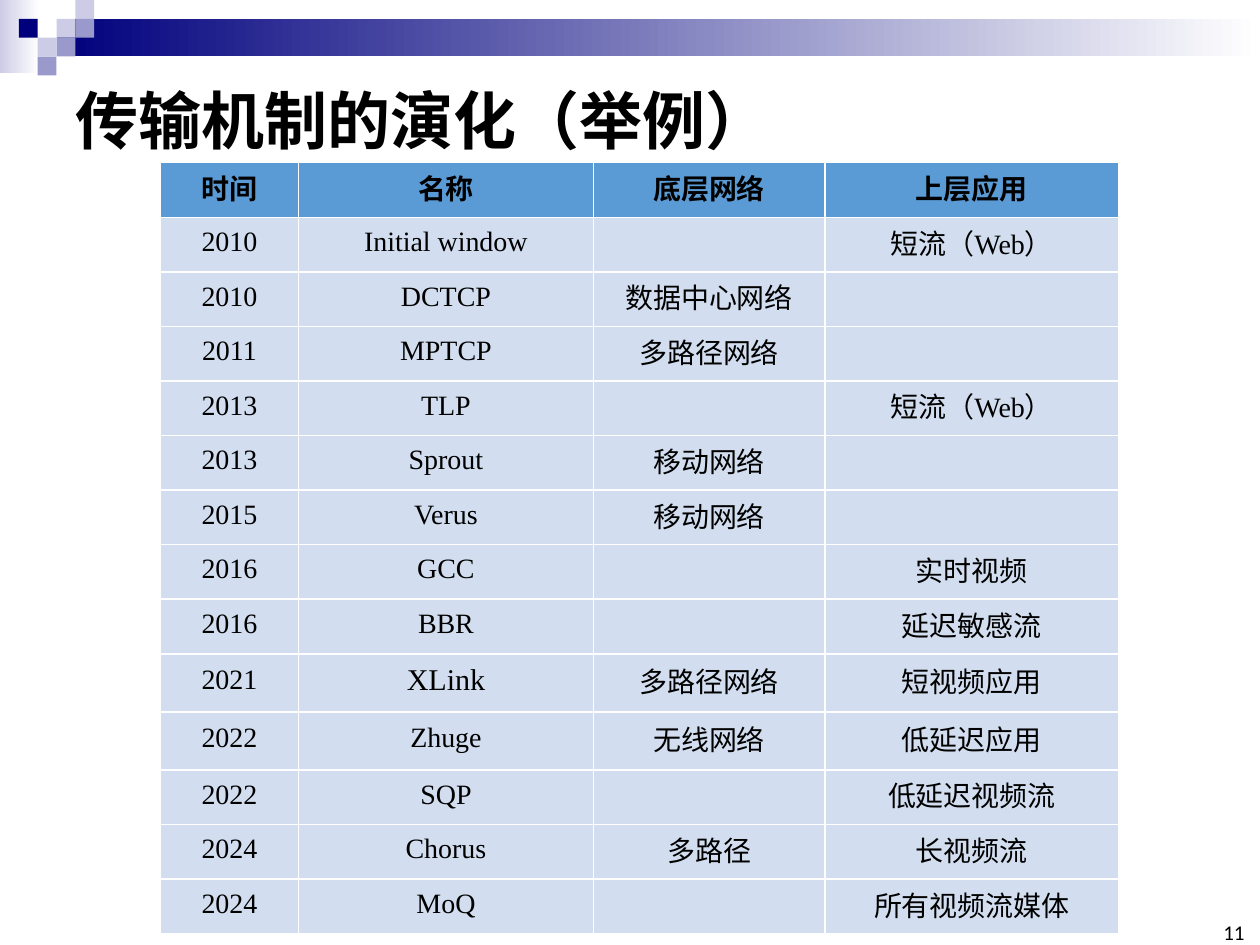
from lxml import etree
from pptx import Presentation
from pptx.dml.color import RGBColor
from pptx.enum import shapes, text
from pptx.oxml.ns import qn
from pptx.util import Cm, Pt

COLORS = {"navy": "00007D", "violet": "9999CC", "lilac": "CCCCE6", "white": "FFFFFF",
          "black": "000000", "header": "5B9BD5", "body": "D2DEEF"}
CJK = "Noto Sans CJK SC"
TITLE = "传输机制的演化（举例）"
PAGE = "11"
ROWS = [
    ("时间", "名称", "底层网络", "上层应用"),
    ("2010", "Initial window", "", "短流（Web）"),
    ("2010", "DCTCP", "数据中心网络", ""),
    ("2011", "MPTCP", "多路径网络", ""),
    ("2013", "TLP", "", "短流（Web）"),
    ("2013", "Sprout", "移动网络", ""),
    ("2015", "Verus", "移动网络", ""),
    ("2016", "GCC", "", "实时视频"),
    ("2016", "BBR", "", "延迟敏感流"),
    ("2021", "XLink", "多路径网络", "短视频应用"),
    ("2022", "Zhuge", "无线网络", "低延迟应用"),
    ("2022", "SQP", "", "低延迟视频流"),
    ("2024", "Chorus", "多路径", "长视频流"),
    ("2024", "MoQ", "", "所有视频流媒体"),
]
COL_WIDTHS = [2.79, 5.94, 4.67, 5.92]
ROW_HEIGHT, TALL_HEIGHT = 1.1, 1.17
TALL_YEARS_ROWS = ("XLink", "Zhuge")
LARGER_NAMES = {"XLink": 17.2}

UNIT = 0.38  # side of one corner square
SQUARES = [  # column, row, colour on the corner grid
    (3, 1, "lilac"), (4, 0, "lilac"), (4, 1, "violet"), (2, 2, "lilac"),
    (1, 1, "navy"), (3, 2, "violet"), (2, 3, "violet"),
]


def rgb(name):
    return RGBColor.from_string(COLORS[name])


def add_rect(slide, left, top, width, height, color, fade=False):
    """Add a borderless rectangle, optionally fading to white on the right."""
    sp = slide.shapes.add_shape(shapes.MSO_SHAPE.RECTANGLE,
                                Cm(left), Cm(top), Cm(width), Cm(height))
    sp.shadow.inherit = False
    sp.line.fill.background()
    if fade:
        sp.fill.gradient()
        sp.fill.gradient_angle = 0
        for stop, name, pos in zip(sp.fill.gradient_stops, (color, "white"), (0, 1)):
            stop.color.rgb = rgb(name)
            stop.position = pos
    else:
        sp.fill.solid()
        sp.fill.fore_color.rgb = rgb(color)


def write(tf, words, size, font, align, bold=False):
    tf.text = words
    p = tf.paragraphs[0]
    p.alignment = align
    for r in p.runs:
        r.font.size, r.font.name, r.font.bold = Pt(size), font, bold
        r.font.color.rgb = rgb("black")
        etree.SubElement(r.font._element, qn("a:ea"), typeface=CJK)


def add_text(slide, box, words, size, align, anchor, bold=False):
    tf = slide.shapes.add_textbox(*map(Cm, box)).text_frame
    tf.word_wrap = True
    tf.vertical_anchor = anchor
    write(tf, words, size, "Calibri", align, bold)
    return tf


def add_borders(cell):
    """Put white 1 pt lines round a cell; they must come before its fill."""
    tc_pr = cell._tc.get_or_add_tcPr()
    for i, side in enumerate(("a:lnL", "a:lnR", "a:lnT", "a:lnB")):
        ln = etree.Element(qn(side), w=str(Pt(1)))
        fill = etree.SubElement(ln, qn("a:solidFill"))
        etree.SubElement(fill, qn("a:srgbClr"), val=COLORS["white"])
        tc_pr.insert(i, ln)


def add_table(slide, left, top):
    heights = [TALL_HEIGHT if row[1] in TALL_YEARS_ROWS else ROW_HEIGHT for row in ROWS]
    table = slide.shapes.add_table(len(ROWS), len(COL_WIDTHS), Cm(left), Cm(top),
                                   Cm(sum(COL_WIDTHS)), Cm(sum(heights))).table
    for col, width in zip(table.columns, COL_WIDTHS):
        col.width = Cm(width)
    for i, (row, height) in enumerate(zip(ROWS, heights)):
        table.rows[i].height = Cm(height)
        header = i == 0
        for j, words in enumerate(row):
            cell = table.cell(i, j)
            cell.margin_left = cell.margin_right = cell.margin_top = Cm(0.03)
            cell.margin_bottom = Cm(0.13)
            cell.vertical_anchor = text.MSO_ANCHOR.MIDDLE
            cell.fill.solid()
            cell.fill.fore_color.rgb = rgb("header" if header else "body")
            add_borders(cell)
            if words:
                font = "Arial" if header else CJK if words == "多路径" else "Times New Roman"
                write(cell.text_frame, words, LARGER_NAMES.get(words, 16), font,
                      text.PP_ALIGN.CENTER, header)


def main():
    prs = Presentation()
    prs.slide_width, prs.slide_height = Cm(25.4), Cm(19.05)
    slide = prs.slides.add_slide(prs.slide_layouts[6])

    add_rect(slide, 0, 0, 0.79, 1.47, "lilac", fade=True)
    add_rect(slide, 3 * UNIT, UNIT, 25.4 - 3 * UNIT, 2 * UNIT, "navy", fade=True)
    for col, row, color in SQUARES:
        add_rect(slide, col * UNIT, row * UNIT, UNIT, UNIT, color)

    add_text(slide, (1.27, 1.27, 22.86, 2.26), TITLE, 36,
             text.PP_ALIGN.LEFT, text.MSO_ANCHOR.MIDDLE, bold=True)
    tf = add_text(slide, (24.51, 18.62, 0.58, 0.43), PAGE, 12,
                  text.PP_ALIGN.RIGHT, text.MSO_ANCHOR.BOTTOM)
    tf.margin_left = tf.margin_right = tf.margin_top = tf.margin_bottom = 0
    tf.word_wrap = False
    add_table(slide, 3.23, 3.28)
    prs.save("out.pptx")


if __name__ == "__main__":
    main()
